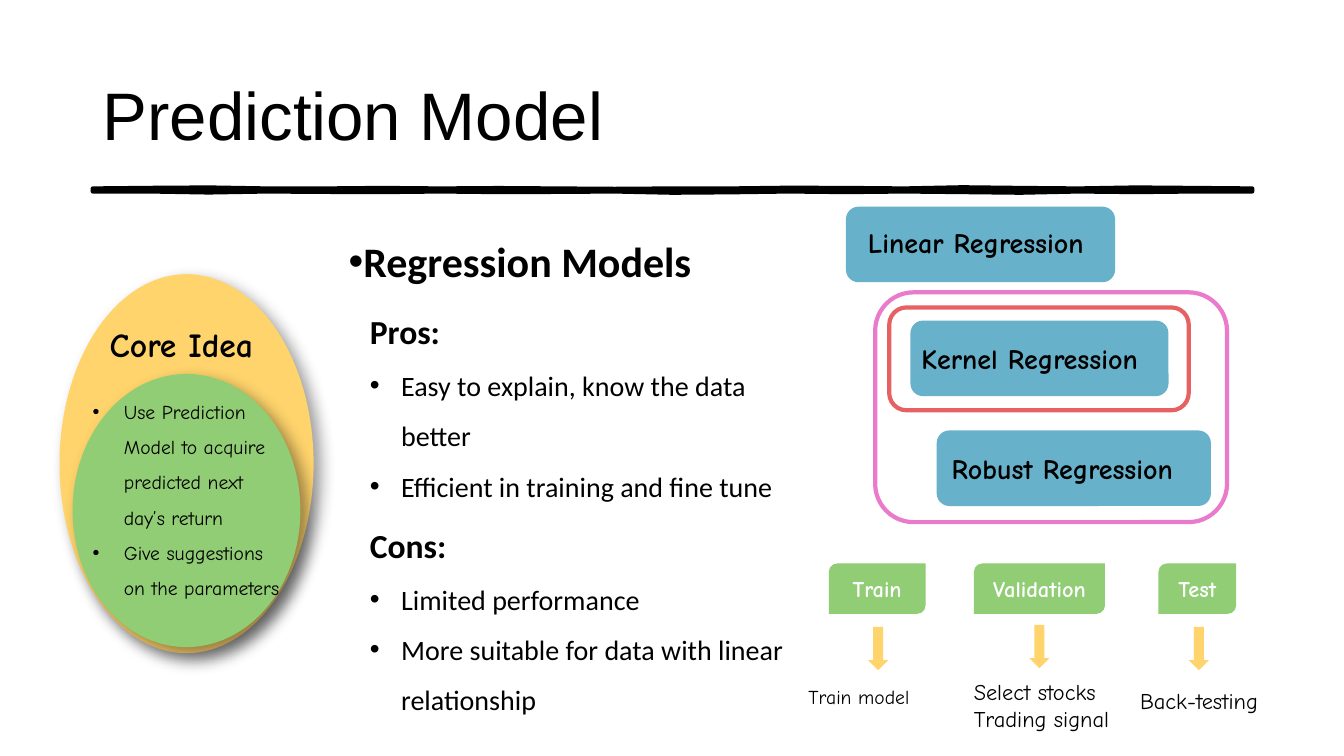
from lxml import etree
from pptx import Presentation
from pptx.dml.color import RGBColor
from pptx.enum.shapes import MSO_SHAPE
from pptx.enum.text import MSO_ANCHOR, MSO_AUTO_SIZE, PP_ALIGN
from pptx.oxml import parse_xml
from pptx.oxml.ns import qn
from pptx.util import Emu, Pt

PX = 9144
OVAL = MSO_SHAPE.OVAL
ROUNDED = MSO_SHAPE.ROUNDED_RECTANGLE
DIAGONAL = MSO_SHAPE.ROUND_2_DIAG_RECTANGLE
DOWN_ARROW = MSO_SHAPE.DOWN_ARROW
MIDDLE = MSO_ANCHOR.MIDDLE
CENTER = PP_ALIGN.CENTER
GROW = MSO_AUTO_SIZE.SHAPE_TO_FIT_TEXT

COLORS = {
    "black": "000000",
    "white": "FFFFFF",
    "yellow": "FFD46C",
    "green": "90CD74",
    "blue": "67B1CB",
    "red": "E66262",
    "pink": "EA7BCB",
}
HAND = "Comic Neue"
BODY = "Calibri"
HEADING = "Arial"

SHADOW = (
    '<a:effectLst xmlns:a="http://schemas.openxmlformats.org/drawingml/2006/main">'
    '<a:outerShdw blurRad="146050" dist="88900" dir="2700000" algn="tl" rotWithShape="0">'
    '<a:srgbClr val="{}"><a:alpha val="40000"/></a:srgbClr>'
    "</a:outerShdw></a:effectLst>"
)


def color(name):
    return RGBColor.from_string(COLORS[name])


def write(para, text, size=20, font=HAND, ink="black", bold=False,
          bullet=False, indent=0, spacing=None, align=None):
    if bullet:
        props = para._p.get_or_add_pPr()
        props.set("marL", str(indent * PX))
        props.set("indent", str(-indent * PX))
        tint = etree.SubElement(props, qn("a:buClr"))
        etree.SubElement(tint, qn("a:srgbClr")).set("val", COLORS["black"])
        etree.SubElement(props, qn("a:buFont")).set("typeface", "Arial")
        etree.SubElement(props, qn("a:buChar")).set("char", "•")
    if spacing:
        para.line_spacing = spacing
    if align is not None:
        para.alignment = align
    span = para.add_run()
    span.text = text
    span.font.size = Pt(size)
    span.font.name = font
    span.font.bold = bold
    span.font.color.rgb = color(ink)


class Page:
    def __init__(self, deck):
        self.shapes = deck.slides.add_slide(deck.slide_layouts[6]).shapes

    def style(self, shape, fill=None, line=None, weight=3):
        shape.shadow.inherit = False
        if fill:
            shape.fill.solid()
            shape.fill.fore_color.rgb = color(fill)
        else:
            shape.fill.background()
        if line:
            shape.line.color.rgb = color(line)
            shape.line.width = Pt(weight)
        else:
            shape.line.fill.background()

    def shape(self, kind, area, fill=None, line=None, corners=None, shadow=False):
        shape = self.shapes.add_shape(kind, *(Emu(v * PX) for v in area))
        self.style(shape, fill, line)
        if corners is not None:
            shape.adjustments[0] = corners
        if shadow:
            props = shape._element.spPr
            props.remove(props.find(qn("a:effectLst")))
            props.append(parse_xml(SHADOW.format(COLORS["black"])))
        return shape

    def label(self, shape, text, **look):
        frame = shape.text_frame
        frame.word_wrap = True
        frame.vertical_anchor = MIDDLE
        write(frame.paragraphs[0], text, align=CENTER, **look)

    def text(self, area, *lines, anchor=None):
        box = self.shapes.add_textbox(*(Emu(v * PX) for v in area))
        frame = box.text_frame
        frame.word_wrap = True
        if anchor is None:
            frame.auto_size = GROW
        else:
            frame.vertical_anchor = anchor
        for number, (text, look) in enumerate(lines):
            para = frame.add_paragraph() if number else frame.paragraphs[0]
            write(para, text, **look)

    def brush_line(self, left, right, top, bottom):
        step = (right - left) / len(top)
        edge = [(left + step * i, y) for i, y in enumerate(top)] + [(right, top[0])]
        back = [(right - step * i, y) for i, y in enumerate(bottom)] + [(left, bottom[-1])]
        pen = self.shapes.build_freeform(round(edge[0][0] * PX), round(edge[0][1] * PX))
        pen.add_line_segments([(round(x * PX), round(y * PX)) for x, y in edge[1:] + back])
        self.style(pen.convert_to_shape(), "black", "black")


def main():
    deck = Presentation()
    deck.slide_width = Emu(1333 * PX)
    deck.slide_height = Emu(750 * PX)
    page = Page(deck)

    page.brush_line(
        92, 1242,
        [187, 186.4, 186, 187, 187, 186.5, 187, 186.6, 187, 187.4,
         187, 187, 186.3, 186.5, 187, 185.8, 186.5, 187, 186, 186.5],
        [190, 190, 190.6, 190, 191.2, 190.6, 190, 190.6, 190, 190.8,
         191.2, 190, 190.4, 190.6, 190, 190.6, 190.4, 190, 191, 190],
    )
    page.text((92, 40, 1150, 145),
              ("Prediction Model", dict(size=48, font=HEADING)), anchor=MIDDLE)
    page.text((336, 224, 374, 63),
              ("Regression Models",
               dict(size=30, font=BODY, bold=True, bullet=True, spacing=1.1)))

    heading = dict(size=24, font=BODY, bold=True)
    item = dict(font=BODY, bullet=True, indent=31, spacing=1.5)
    for top, width, title, points in (
        (304, 426, "Pros:", ("Easy to explain, know the data better",
                             "Efficient in training and fine tune")),
        (516, 432, "Cons:", ("Limited performance",
                             "More suitable for data with linear relationship")),
    ):
        page.text((357, top, width, 197), (title, heading),
                  *((point, item) for point in points))

    page.shape(OVAL, (59, 272, 252, 376), "yellow", shadow=True)
    page.text((99, 316, 177, 50), ("Core Idea", dict(size=24, bold=True)))
    page.shape(OVAL, (72, 371, 226, 271), "green", shadow=True)
    idea = dict(size=14, bullet=True, indent=31, spacing=1.5)
    page.text((82, 380, 215, 254),
              ("Use Prediction Model to acquire predicted next day’s return", idea),
              ("Give suggestions on the parameters", idea))

    for name, left, top, width, text_left, text_top, text_width in (
        ("Linear Regression", 839, 205, 267, 851, 219, 287),
        ("Kernel Regression", 903, 318, 256, 904, 334, 254),
        ("Robust Regression", 929, 427, 272, 934, 443, 261),
    ):
        page.shape(ROUNDED, (left, top, width, 75), "blue", corners=0.167)
        page.text((text_left, text_top, text_width, 44), (name, dict(bold=True)))
    page.shape(ROUNDED, (882, 305, 297, 102), line="red", corners=0.167)
    page.shape(ROUNDED, (868, 290, 349, 228), line="pink", corners=0.167)

    for stage, left, width, arrow, notes, size in (
        ("Train", 822, 96, (861, 622), (792, 675, 159, 40, "Train model"), 14),
        ("Validation", 966, 130, (1021, 620),
         (956, 668, 166, 64, "Select stocks", "Trading signal"), 16),
        ("Test", 1149, 77, (1179, 622), (1121, 677, 153, 37, "Back-testing"), 16),
    ):
        tab = page.shape(DIAGONAL, (left, 559, width, 50), "green", corners=0.167)
        page.label(tab, stage, size=16, ink="white", bold=True)
        page.shape(DOWN_ARROW, (*arrow, 20, 43), "yellow")
        page.text(notes[:4], *((note, dict(size=size)) for note in notes[4:]))

    deck.save("out.pptx")


if __name__ == "__main__":
    main()
